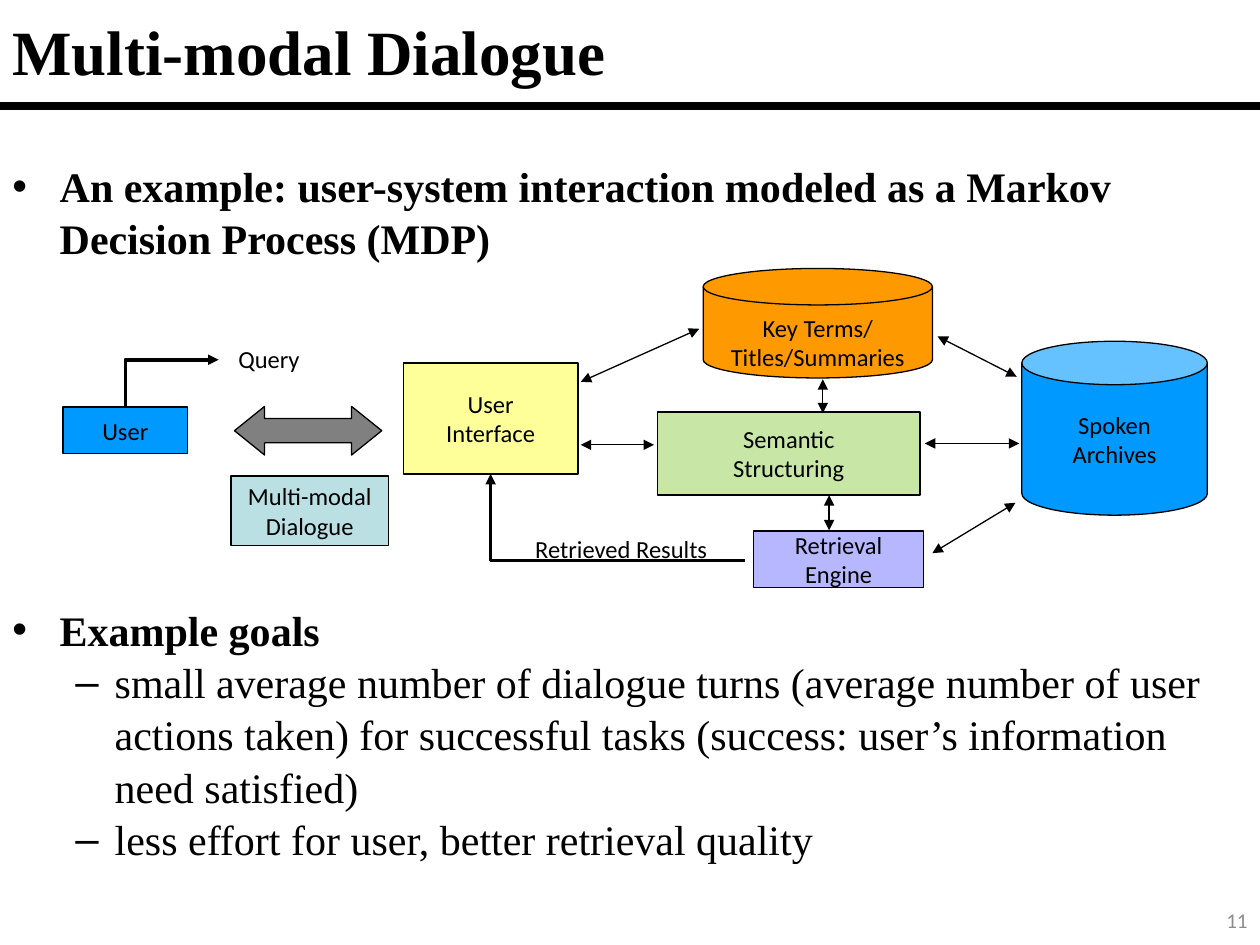
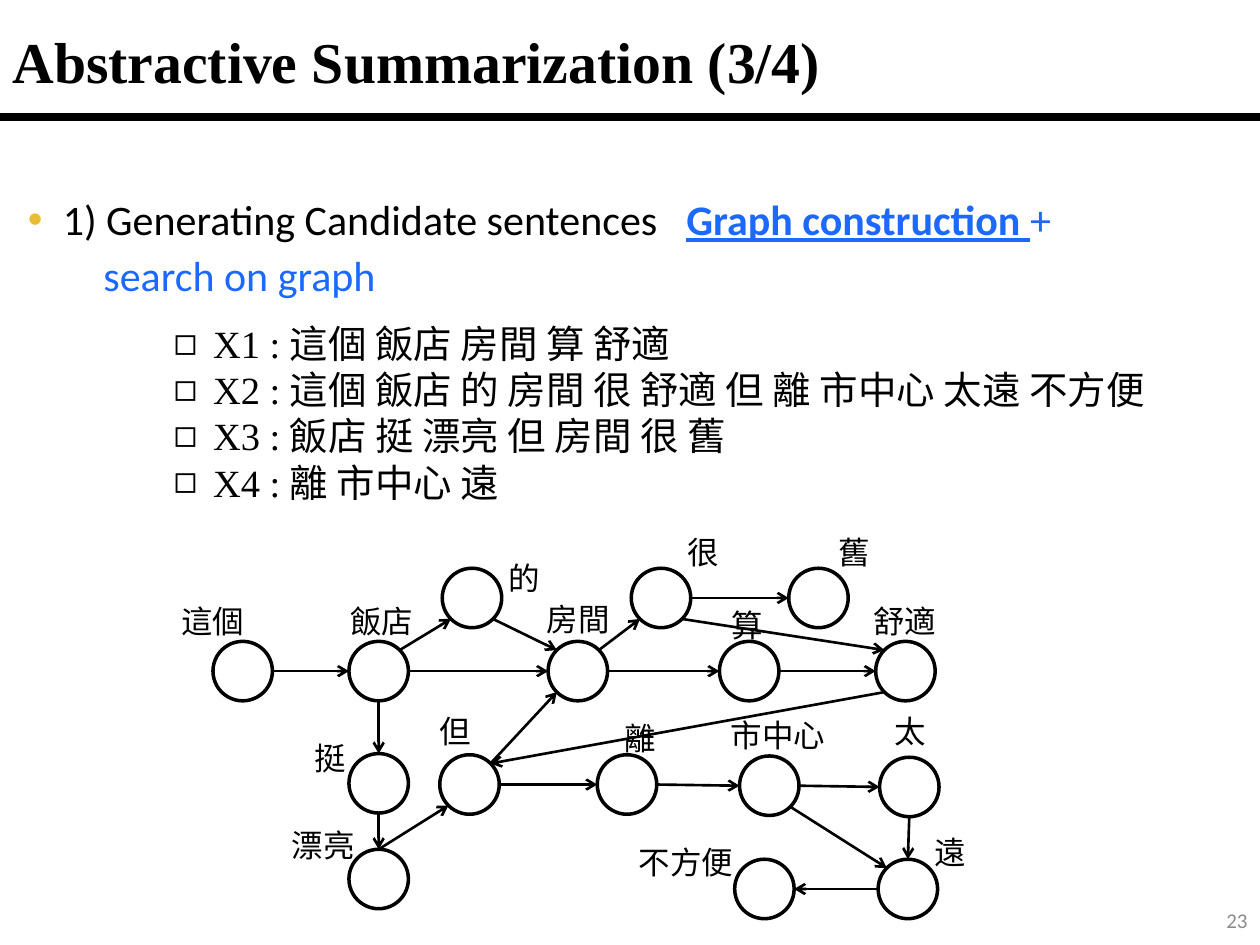
"""Build two lecture slides: a dialogue system and a word graph."""
from dataclasses import dataclass
from typing import NamedTuple

from lxml.etree import SubElement
from pptx import Presentation
from pptx.dml.color import RGBColor
from pptx.enum.shapes import MSO_CONNECTOR, MSO_SHAPE
from pptx.enum.text import MSO_ANCHOR, PP_ALIGN
from pptx.oxml.ns import qn
from pptx.util import Pt

BLACK, WHITE, GREY = "000000", "FFFFFF", "8C8C8C"
BLUE, GOLD, SKY = "1D68FF", "EABC33", "0099FF"
SERIF, SANS, PLAIN = "Times New Roman", "Calibri", "Arial"
TRI, OPEN = "triangle", "arrow"
SIZE, HALF, DIAG = 34, 17, 12
SITES = {
    "N": (0, -HALF), "S": (0, HALF), "E": (HALF, 0), "W": (-HALF, 0),
    "NE": (DIAG, -DIAG), "NW": (-DIAG, -DIAG),
    "SE": (DIAG, DIAG), "SW": (-DIAG, DIAG),
}


class Rect(NamedTuple):
    """Place of a shape in points."""
    x: float
    y: float
    w: float
    h: float


@dataclass
class Block:
    """A filled shape with centred text."""
    text: str
    rect: Rect
    fill: str
    kind: MSO_SHAPE = MSO_SHAPE.RECTANGLE
    pad: tuple = (3.6, 3.6)
    alpha: int = 100


@dataclass
class Arrow:
    """A straight line with optional heads."""
    start: tuple
    end: tuple
    width: float = 0.75
    head: str = ""
    tail: str = ""


class Node(NamedTuple):
    """A graph circle and the place of its word."""
    word: str
    x: float
    y: float
    left: float
    top: float


BLOCKS = [
    Block("Key Terms/\nTitles/Summaries", Rect(401.8, 153.4, 131, 62.6), "FF9900",
          MSO_SHAPE.FLOWCHART_MAGNETIC_DISK, (14.4, 2.9)),
    Block("Spoken\nArchives", Rect(583.9, 195, 106, 99.4), SKY, MSO_SHAPE.CAN),
    Block("User", Rect(36, 232.6, 71.3, 26.6), SKY),
    Block("Retrieval\nEngine", Rect(430.6, 303.4, 97.2, 32.4), "B7B7FF"),
    Block("User\nInterface", Rect(230.4, 207.4, 100, 63.4), "FFFF99"),
    Block("", Rect(134, 232.2, 84.2, 27.8), "808080", MSO_SHAPE.LEFT_RIGHT_ARROW),
    Block("Multi-modal\nDialogue", Rect(132, 272, 90, 39.6), "BBE0E3"),
    Block("Semantic\nStructuring", Rect(375.8, 235.4, 150, 47.5), "92D050", alpha=50),
]
LINKS = [
    ((535.7, 192.2), (581, 215.3)),
    ((399.6, 187.9), (331.9, 218.2)),
    ((528.5, 253.4), (582.5, 253.4)),
    ((532.8, 316.1), (580.3, 287.3)),
    ((470.2, 216.7), (470.2, 236.2)),
    ((473.8, 283), (473.8, 303.1)),
    ((331.9, 254.2), (373.7, 254.2)),
]
NODES = [
    Node("這個", 121.7, 366.5, 96.5, 340.6),
    Node("飯店", 199.4, 366.5, 193, 340.6),
    Node("房間", 313.2, 366.5, 305.3, 339.1),
    Node("算", 411.1, 366.5, 411.1, 342.7),
    Node("舒適", 500.4, 366.5, 491.8, 340.6),
    Node("的", 252.7, 324.7, 283.7, 316.1),
    Node("很", 360.7, 324.7, 385.9, 301),
    Node("舊", 450.7, 324.7, 472.3, 301),
    Node("挺", 199.4, 430.6, 172.8, 419),
    Node("漂亮", 199.4, 485.3, 159.8, 468.7),
    Node("但", 251.3, 431.3, 244.1, 403.2),
    Node("離", 341.3, 431.3, 349.9, 407.5),
    Node("市中心", 422.6, 432, 410.4, 405.4),
    Node("太", 502.6, 432.7, 504, 403.2),
    Node("遠", 501.8, 491, 527, 472.3),
    Node("不方便", 419.8, 491, 357.8, 478.1),
]
EDGES = [
    "這個 E 飯店 W", "飯店 E 房間 W", "房間 E 算 W", "算 E 舒適 W",
    "很 E 舊 W", "但 E 離 W", "離 E 市中心 W", "市中心 E 太 W",
    "太 S 遠 N", "遠 W 不方便 E", "但 NE 房間 SW", "漂亮 N 但 SW",
    "飯店 S 挺 N", "挺 S 漂亮 N", "舒適 SW 但 NE", "房間 NE 很 SW",
    "很 SE 舒適 NW", "市中心 SE 遠 NW", "飯店 NE 的 SW", "的 SE 房間 NW",
]
LINES = [
    "X1 : 這個 飯店 房間 算 舒適",
    "X2 : 這個 飯店 的 房間 很 舒適 但 離 市中心 太遠 不方便",
    "X3 : 飯店 挺 漂亮 但 房間 很 舊",
    "X4 : 離 市中心 遠",
]
GOALS = [
    "small average number of dialogue turns (average number of user actions taken) "
    "for successful tasks (success: user’s information need satisfied)",
    "less effort for user, better retrieval quality",
]


def tint(code: str) -> RGBColor:
    """Turn a hex string into a colour."""
    return RGBColor.from_string(code)


def write(frame, text: str, *, font: str = SANS, size: float = 14, color: str = BLACK,
          bold: bool = False, under: bool = False, align=PP_ALIGN.LEFT,
          before: float = 0, space: float = 1, left: float = 0, hang: float = 0,
          bullet: str = "", mark: str = BLACK, join: bool = False, gap: float = 0) -> None:
    """Add a paragraph, or with join a run to the last one."""
    par = frame.paragraphs[-1]
    if not join:
        if par.runs:
            par = frame.add_paragraph()
        props = par._p.get_or_add_pPr()
        props.set("marL", str(Pt(left)))
        props.set("indent", str(Pt(-hang)))
        if bullet:
            shade = SubElement(props, qn("a:buClr"))
            SubElement(shade, qn("a:srgbClr"), val=mark)
            SubElement(props, qn("a:buFont"), typeface=PLAIN)
            SubElement(props, qn("a:buChar"), char=bullet)
        par.alignment = align
        par.line_spacing = space
        if before:
            par.space_before = Pt(before)
    run = par.add_run()
    run.text = text
    face = run.font
    face.name, face.size, face.bold, face.underline = font, Pt(size), bold, under
    face.color.rgb = tint(color)
    if gap:
        run._r.get_or_add_rPr().set("spc", str(round(gap * 100)))


def frame_at(slide, rect: Rect, anchor=MSO_ANCHOR.TOP):
    """Add a text box and return its frame."""
    frame = slide.shapes.add_textbox(*map(Pt, rect)).text_frame
    frame.word_wrap = True
    frame.vertical_anchor = anchor
    return frame


def shape_at(slide, kind, rect: Rect, fill: str, width: float = 0.75):
    """Add a filled shape with a black outline."""
    shape = slide.shapes.add_shape(kind, *map(Pt, rect))
    shape.shadow.inherit = False
    shape.fill.solid()
    shape.fill.fore_color.rgb = tint(fill)
    shape.line.color.rgb = tint(BLACK)
    shape.line.width = Pt(width)
    return shape


def link(slide, arrow: Arrow, kind=MSO_CONNECTOR.STRAIGHT):
    """Draw a connector with its heads."""
    line = slide.shapes.add_connector(kind, *map(Pt, arrow.start + arrow.end))
    line.line.color.rgb = tint(BLACK)
    line.line.width = Pt(arrow.width)
    stroke = line.line._get_or_add_ln()
    for tag, style in (("a:headEnd", arrow.head), ("a:tailEnd", arrow.tail)):
        if style:
            SubElement(stroke, qn(tag), type=style)
    SubElement(line._element.spPr, qn("a:effectLst"))
    return line


def block_at(slide, block: Block):
    """Draw a block with its text."""
    shape = shape_at(slide, block.kind, block.rect, block.fill)
    if block.alpha < 100:
        shade = shape._element.spPr.find(qn("a:solidFill"))[0]
        SubElement(shade, qn("a:alpha"), val=str(block.alpha * 1000))
    frame = shape.text_frame
    frame.word_wrap = False
    frame.vertical_anchor = MSO_ANCHOR.MIDDLE
    frame.margin_top, frame.margin_bottom = map(Pt, block.pad)
    if block.text:
        for text in block.text.split("\n"):
            write(frame, text, align=PP_ALIGN.CENTER)
    return shape


def start(deck, title: str, size: float, top: float, rule: float, page: int):
    """Add a slide with title, rule and page number."""
    slide = deck.slides.add_slide(deck.slide_layouts[6])
    head = frame_at(slide, Rect(0, top, 719, 57), MSO_ANCHOR.MIDDLE)
    write(head, title, font=SERIF, size=size, bold=True)
    link(slide, Arrow((0, rule), (720, rule), 4.5))
    foot = frame_at(slide, Rect(558, 511.2, 162, 28.8), MSO_ANCHOR.MIDDLE)
    write(foot, str(page), size=12, color=GREY, align=PP_ALIGN.RIGHT)
    return slide


def talk(deck) -> None:
    """Build the dialogue slide."""
    slide = start(deck, "Multi-modal Dialogue", 36, 0, 60.5, 11)
    point = dict(font=SERIF, size=24, bold=True, left=27, hang=27, bullet="•")
    write(frame_at(slide, Rect(0, 87, 719, 65.5)),
          "An example: user-system interaction modeled as a Markov Decision Process (MDP)",
          space=1.04, **point)
    made = {block.text: block_at(slide, block) for block in BLOCKS}
    made[""].adjustments[1] = 0.62
    for ends in LINKS:
        link(slide, Arrow(*ends, head=TRI, tail=TRI))
    link(slide, Arrow((425.5, 320.4), (280.1, 320.4), 2))
    back = link(slide, Arrow((280.4, 320.4), (280.4, 270.8), 2, tail=TRI))
    back.end_connect(made["User\nInterface"], 2)
    turn = link(slide, Arrow((85, 192.2), (111.6, 245.5), 2, tail=TRI), MSO_CONNECTOR.ELBOW)
    props = turn._element.spPr
    props.find(qn("a:xfrm")).set("rot", "16200000")
    props.find(qn("a:prstGeom")).set("prst", "bentConnector2")
    for text, rect in (("Query", Rect(117.4, 193, 72.6, 23)),
                       ("Retrieved Results", Rect(278, 301.7, 154, 23))):
        write(frame_at(slide, rect), text, align=PP_ALIGN.CENTER)
    goals = frame_at(slide, Rect(0, 336, 720, 158.4))
    write(goals, "Example goals", space=1.2, **point)
    for text in GOALS:
        write(goals, text, font=SERIF, size=24, left=58.5, hang=22.5, bullet="–", space=1.04)


def graph(deck) -> None:
    """Build the word graph slide."""
    slide = start(deck, "Abstractive Summarization (3/4)", 33, 5.8, 67, 23)
    body = frame_at(slide, Rect(0, 107, 711, 105))
    write(body, "1) Generating Candidate sentences", size=24, left=28.8, hang=20,
          bullet="•", mark=GOLD)
    write(body, " ", size=24, join=True, gap=11)
    write(body, "Graph construction ", size=24, color=BLUE, bold=True, under=True, join=True)
    write(body, "+", size=24, color=BLUE, join=True)
    write(body, "search on graph", size=24, color=BLUE, left=52, before=3)
    lines = frame_at(slide, Rect(92.2, 179.3, 585.4, 113.8))
    for text in LINES:
        write(lines, text, font=SERIF, size=22, left=22.5, hang=22.5, bullet="◻")
    spots = {}
    for node in NODES:
        shape_at(slide, MSO_SHAPE.OVAL, Rect(node.x, node.y, SIZE, SIZE), WHITE, 2)
        spots[node.word] = (node.x + HALF, node.y + HALF)
    for edge in EDGES:
        first, out, last, into = edge.split()
        ends = [(spots[word][0] + SITES[site][0], spots[word][1] + SITES[site][1])
                for word, site in ((first, out), (last, into))]
        link(slide, Arrow(*ends, width=1.5, tail=OPEN))
    for node in NODES:
        rect = Rect(node.left, node.top, 18 * len(node.word) + 20, 28.8)
        write(frame_at(slide, rect), node.word, font=PLAIN, size=18)


def main() -> None:
    """Build and save the deck."""
    deck = Presentation()
    deck.slide_width, deck.slide_height = Pt(720), Pt(540)
    talk(deck)
    graph(deck)
    deck.save("out.pptx")


if __name__ == "__main__":
    main()
